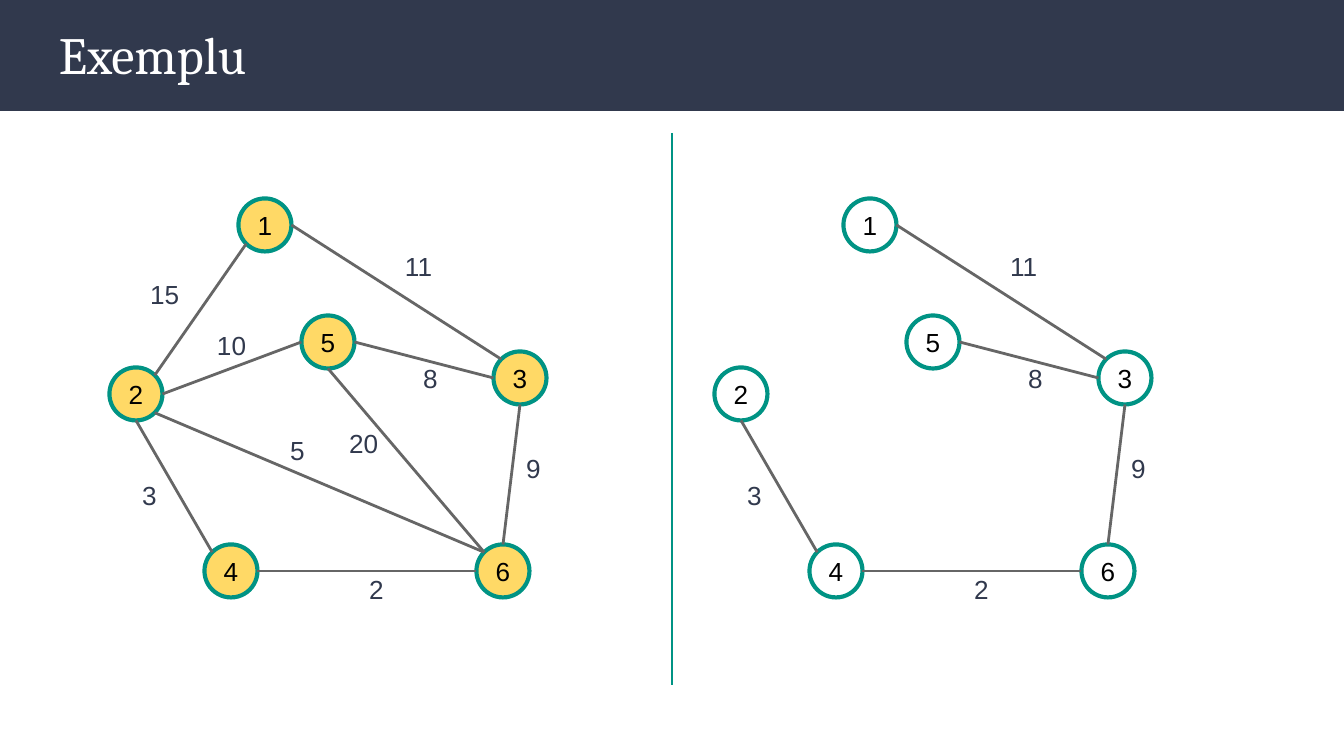
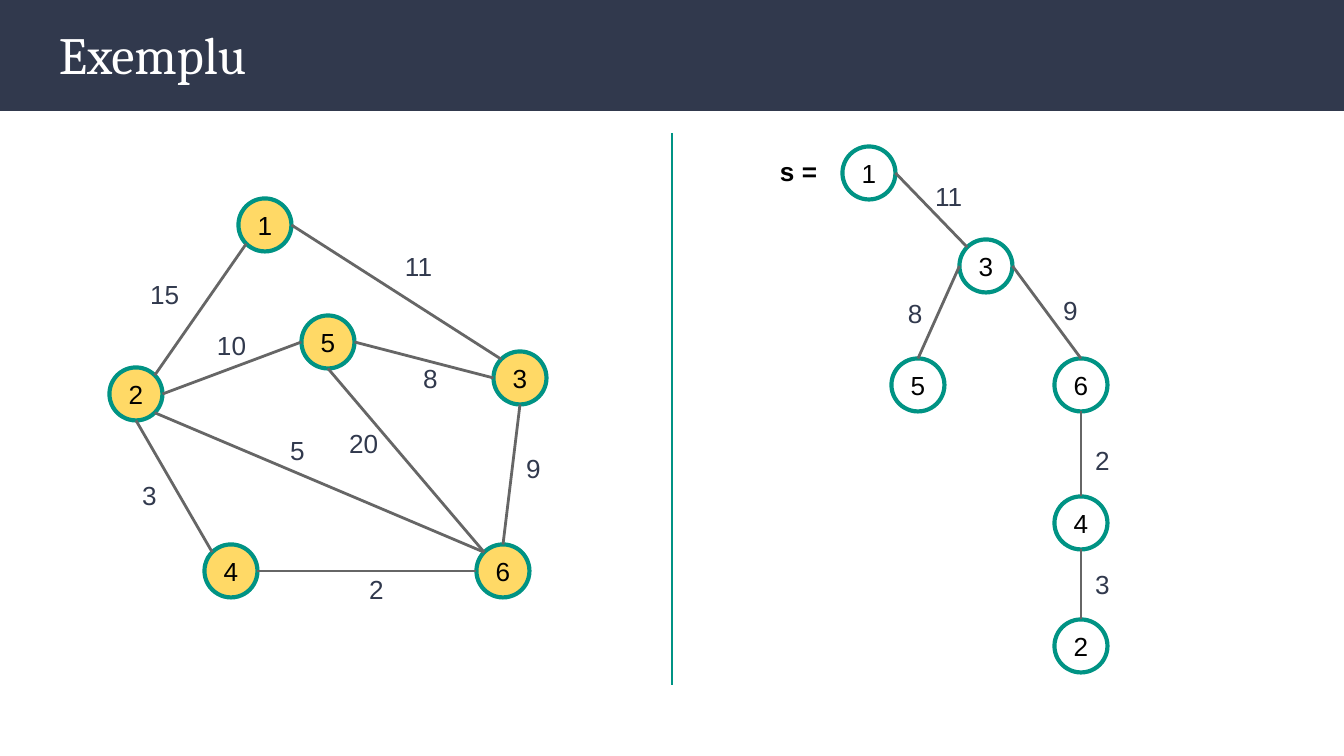
from math import cos, radians, sin

from lxml import etree
from pptx import Presentation
from pptx.dml.color import RGBColor
from pptx.enum.shapes import MSO_CONNECTOR, MSO_SHAPE
from pptx.enum.text import MSO_ANCHOR, MSO_AUTO_SIZE, PP_ALIGN
from pptx.oxml.ns import qn
from pptx.util import Pt

STRAIGHT = MSO_CONNECTOR.STRAIGHT
RECTANGLE, OVAL = MSO_SHAPE.RECTANGLE, MSO_SHAPE.OVAL
MIDDLE, TOP = MSO_ANCHOR.MIDDLE, MSO_ANCHOR.TOP
LEFT, CENTER = PP_ALIGN.LEFT, PP_ALIGN.CENTER
GROW = MSO_AUTO_SIZE.SHAPE_TO_FIT_TEXT

EMU_PER_PX = 914400 / 134.4
COLORS = {
    "navy": "31394D",
    "teal": "009384",
    "yellow": "FFD966",
    "edge": "666666",
    "white": "FFFFFF",
    "black": "000000",
}
TITLE_STYLE = {"name": "Cambria", "size": Pt(28), "color": "white"}
NODE_STYLE = {"name": "Arial", "size": Pt(14), "color": "black"}
WEIGHT_STYLE = {"name": "Arial", "size": Pt(14), "color": "navy"}
START_STYLE = {"name": "Arial", "size": Pt(14), "color": "black", "bold": True}

SLIDE_SIZE = (1344, 756)
BAND_HEIGHT = 111
LEFT_PANEL = (67, 133)
RIGHT_PANEL = (672, 133)
PANEL_HEIGHT = 552
NODE_SIZE = 53
WEIGHT_SIZE = (63, 59)
TEXT_INSET, NODE_INSET = 13, 3

SITES = ("N", "NW", "W", "SW", "S", "SE", "E", "NE")

GRAPH_NODES = {
    "1": (198, 92), "2": (69, 261), "5": (261, 209),
    "6": (436, 438), "4": (164, 438), "3": (453, 245),
}
GRAPH_EDGES = [
    ("1", "SW", "2", "NE", "15", (70, 132)),
    ("1", "E", "3", "NW", "11", (325, 104)),
    ("2", "E", "5", "W", "10", (137, 183)),
    ("5", "E", "3", "W", "8", (343, 216)),
    ("2", "S", "4", "NW", "3", (62, 333)),
    ("2", "SE", "6", "NW", "5", (210, 288)),
    ("4", "E", "6", "W", "2", (289, 427)),
    ("5", "S", "6", "NW", "20", (269, 281)),
    ("3", "S", "6", "N", "9", (446, 306)),
]
SPANNING_WEIGHTS = {"11", "8", "9", "2", "3"}
SPANNING_EDGES = [edge for edge in GRAPH_EDGES if edge[4] in SPANNING_WEIGHTS]

TREE_NODES = {
    "1": (197, 40), "3": (314, 133), "5": (246, 252),
    "6": (409, 252), "4": (409, 390), "2": (409, 513),
}
TREE_EDGES = [
    ("1", "E", "3", "NW", "11", (250, 34)),
    ("5", "N", "3", "W", "8", (223, 151)),
    ("3", "E", "6", "N", "9", (378, 148)),
    ("4", "N", "6", "S", "2", (410, 298)),
    ("2", "N", "4", "S", "3", (410, 422)),
]


def px(*lengths):
    """Turn pixel lengths into EMU."""
    return [round(length * EMU_PER_PX) for length in lengths]


def rgb(color):
    """Look up a colour by its name."""
    return RGBColor.from_string(COLORS[color])


def write(shape, text, style, inset, anchor=TOP, align=LEFT):
    """Put one styled paragraph into a shape."""
    frame = shape.text_frame
    margin = px(inset)[0]
    settings = {
        "word_wrap": True, "vertical_anchor": anchor,
        "margin_left": margin, "margin_right": margin,
        "margin_top": margin, "margin_bottom": margin,
    }
    for name, value in settings.items():
        setattr(frame, name, value)
    paragraph = frame.paragraphs[0]
    paragraph.alignment = align
    run = paragraph.add_run()
    run.text = text
    for name, value in style.items():
        if name == "color":
            run.font.color.rgb = rgb(value)
        else:
            setattr(run.font, name, value)


def add_line(shapes, start, end, color):
    """Draw a straight line without a shadow."""
    line = shapes.add_connector(STRAIGHT, *px(*start, *end))
    line.line.color.rgb = rgb(color)
    line.line.width = Pt(1.5)
    etree.SubElement(line._element.spPr, qn("a:effectLst"))
    return line


def add_label(shapes, text, box, style):
    """Place a text box that grows with its text."""
    label = shapes.add_textbox(*px(*box))
    write(label, text, style, TEXT_INSET)
    label.text_frame.auto_size = GROW


def add_node(shapes, text, center, fill):
    """Draw a numbered circle around its centre."""
    x, y = center
    corner = (x - NODE_SIZE / 2, y - NODE_SIZE / 2)
    node = shapes.add_shape(OVAL, *px(*corner, NODE_SIZE, NODE_SIZE))
    node.shadow.inherit = False
    if fill:
        node.fill.solid()
        node.fill.fore_color.rgb = rgb(fill)
    else:
        node.fill.background()
    node.line.color.rgb = rgb("teal")
    node.line.width = Pt(2.25)
    write(node, text, NODE_STYLE, NODE_INSET, MIDDLE, CENTER)
    return node


def rim_point(center, site):
    """Find a connection site on the rim of a node."""
    angle = radians(90 + 45 * SITES.index(site))
    radius = NODE_SIZE / 2
    return center[0] + radius * cos(angle), center[1] - radius * sin(angle)


def add_graph(slide, origin, nodes, edges, fill=None):
    """Draw a weighted graph relative to the corner of its panel."""
    left, top = origin
    shapes = slide.shapes.add_group_shape().shapes
    centers = {name: (left + x, top + y) for name, (x, y) in nodes.items()}
    circles = {
        name: add_node(shapes, name, center, fill)
        for name, center in centers.items()
    }
    for source, source_site, target, target_site, weight, (x, y) in edges:
        ends = (("a:stCxn", source, source_site), ("a:endCxn", target, target_site))
        points = [rim_point(centers[name], site) for _, name, site in ends]
        edge = add_line(shapes, *points, "edge")
        joints = edge._element.nvCxnSpPr.cNvCxnSpPr
        for tag, name, site in ends:
            joint = etree.SubElement(joints, qn(tag))
            joint.set("id", str(circles[name].shape_id))
            joint.set("idx", str(SITES.index(site)))
        add_label(shapes, weight, (left + x, top + y, *WEIGHT_SIZE), WEIGHT_STYLE)
    return shapes


def add_example_slide(prs):
    """Add a slide with the title band, the full graph and the divider."""
    slide = prs.slides.add_slide(prs.slide_layouts[6])
    band = slide.shapes.add_shape(RECTANGLE, *px(0, 0, SLIDE_SIZE[0], BAND_HEIGHT))
    band.shadow.inherit = False
    band.fill.solid()
    band.fill.fore_color.rgb = rgb("navy")
    band.line.fill.background()
    title = slide.shapes.add_textbox(*px(46, 8, 1252, 92))
    write(title, "Exemplu", TITLE_STYLE, TEXT_INSET, MIDDLE)
    add_graph(slide, LEFT_PANEL, GRAPH_NODES, GRAPH_EDGES, "yellow")
    x, y = RIGHT_PANEL
    add_line(slide.shapes, (x, y), (x, y + PANEL_HEIGHT), "teal")
    return slide


def add_spanning_slide(prs):
    """Show the graph beside its minimum spanning tree."""
    slide = add_example_slide(prs)
    add_graph(slide, RIGHT_PANEL, GRAPH_NODES, SPANNING_EDGES)


def add_rooted_slide(prs):
    """Show the graph beside the tree rooted at the start node."""
    slide = add_example_slide(prs)
    tree = add_graph(slide, RIGHT_PANEL, TREE_NODES, TREE_EDGES)
    left, top = RIGHT_PANEL
    add_label(tree, "s =", (left + 95, top + 9, 77, 59), START_STYLE)


def main():
    """Build and save the presentation."""
    prs = Presentation()
    prs.slide_width, prs.slide_height = px(*SLIDE_SIZE)
    add_spanning_slide(prs)
    add_rooted_slide(prs)
    prs.save("out.pptx")


if __name__ == "__main__":
    main()
